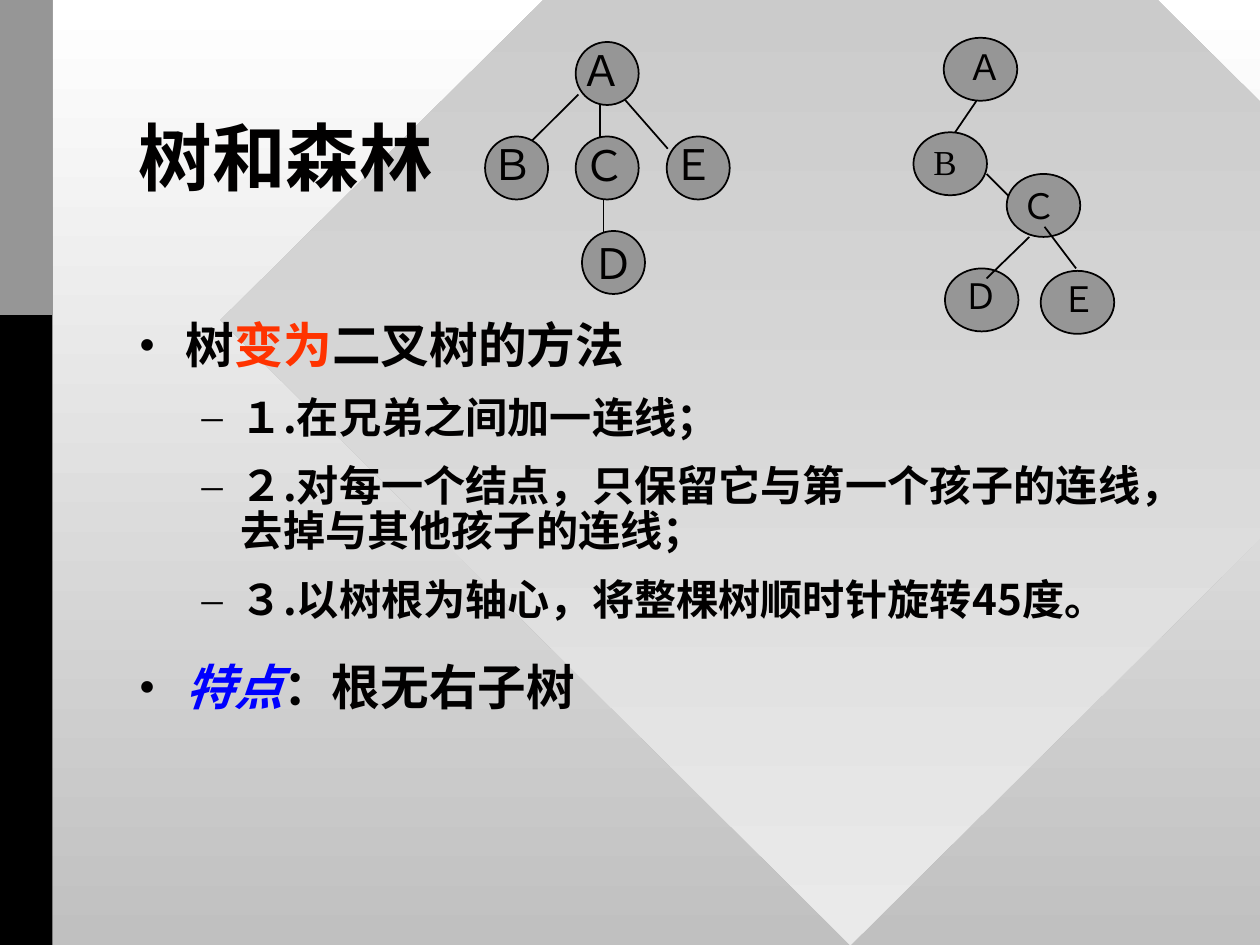
from dataclasses import dataclass

from lxml import etree
from pptx import Presentation
from pptx.dml.color import RGBColor
from pptx.enum.shapes import MSO_CONNECTOR, MSO_SHAPE
from pptx.enum.text import MSO_ANCHOR, MSO_AUTO_SIZE, PP_ALIGN
from pptx.oxml.ns import qn
from pptx.util import Pt

STRAIGHT = MSO_CONNECTOR.STRAIGHT
DIAMOND, RECTANGLE, OVAL = MSO_SHAPE.DIAMOND, MSO_SHAPE.RECTANGLE, MSO_SHAPE.OVAL
MIDDLE, TOP = MSO_ANCHOR.MIDDLE, MSO_ANCHOR.TOP
LEFT, CENTER = PP_ALIGN.LEFT, PP_ALIGN.CENTER
NO_FIT = MSO_AUTO_SIZE.NONE


@dataclass(frozen=True)
class Theme:
    ink: str = "010000"
    black: str = "000000"
    grey: str = "969696"
    red: str = "FF3300"
    blue: str = "0000FF"
    backdrop: tuple = ("FFFFFF", "C0C0C0")
    diamond: tuple = ("C0C0C0", "EAEAEA")
    title_size: float = 42
    level_sizes: tuple = (27.8, 24.1)
    title_font: str = "Karla"
    body_font: str = "Noto Sans CJK SC"
    node_font: str = "Times New Roman"


theme = Theme()


def style_run(span, size, color, latin, bold=False):
    """Format a run, with the body font for its Chinese and full-width letters."""
    span.font.size = Pt(size)
    span.font.bold = bold
    span.font.color.rgb = RGBColor.from_string(color)
    span.font.name = latin
    east_asian = etree.Element(qn("a:ea"), typeface=theme.body_font)
    span.font._element.find(qn("a:latin")).addnext(east_asian)


def fill_downward(fill, colors):
    fill.gradient()
    fill.gradient_angle = 270
    for stop, color in zip(fill.gradient_stops, colors):
        stop.color.rgb = RGBColor.from_string(color)


deck = Presentation()
deck.slide_width, deck.slide_height = Pt(720), Pt(540)
page = deck.slides.add_slide(deck.slide_layouts[1])

# Backdrop
fill_downward(page.background.fill, theme.backdrop)
for kind, left, top, width, height, color in [
    (DIAMOND, 126, -174, 720, 714, theme.diamond),
    (RECTANGLE, 0, 0, 30, 540, theme.black),
    (RECTANGLE, 0, 0, 30, 180, theme.grey),
]:
    shape = page.shapes.add_shape(kind, Pt(left), Pt(top), Pt(width), Pt(height))
    shape.shadow.inherit = False
    shape.line.fill.background()
    if kind == DIAMOND:
        fill_downward(shape.fill, color)
    else:
        shape.fill.solid()
        shape.fill.fore_color.rgb = RGBColor.from_string(color)

# Title and list, brought in front of the backdrop
title, body = page.shapes.title, page.placeholders[1]
for box, top, width, height, anchor in [
    (title, 48, 576, 90, MIDDLE),
    (body, 180, 594, 288, TOP),
]:
    box.left, box.top, box.width, box.height = Pt(72), Pt(top), Pt(width), Pt(height)
    box.text_frame.auto_size = NO_FIT
    box.text_frame.vertical_anchor = anchor
    page.shapes.element.append(box.element)

title.text_frame.text = "树和森林"
para = title.text_frame.paragraphs[0]
para.alignment = LEFT
para.line_spacing = 0.85
style_run(para.runs[0], theme.title_size, theme.ink, theme.title_font, bold=True)

# Per level: left margin, hanging indent, space before, bullet
levels = [(27, -27, 22.5, "•"), (58.5, -22.5, 13, "–")]
items = [
    (0, [("树", theme.ink), ("变为", theme.red), ("二叉树的方法", theme.ink)]),
    (1, [("１.在兄弟之间加一连线；", theme.ink)]),
    (1, [("２.对每一个结点，只保留它与第一个孩子的连线，去掉与其他孩子的连线；", theme.ink)]),
    (1, [("３.以树根为轴心，将整棵树顺时针旋转45度。", theme.ink)]),
    (0, [("特点", theme.blue), ("：根无右子树", theme.ink)]),
]
for index, (level, pieces) in enumerate(items):
    para = body.text_frame.paragraphs[0] if index == 0 else body.text_frame.add_paragraph()
    margin, indent, space, bullet = levels[level]
    para.level = level
    para.alignment = LEFT
    para.line_spacing = 0.9
    para.space_before = Pt(space if index else 0)
    properties = para._p.get_or_add_pPr()
    properties.set("marL", str(Pt(margin)))
    properties.set("indent", str(Pt(indent)))
    bullet_color = etree.SubElement(properties, qn("a:buClr"))
    etree.SubElement(bullet_color, qn("a:srgbClr"), val=theme.ink)
    etree.SubElement(properties, qn("a:buFont"), typeface=theme.node_font)
    etree.SubElement(properties, qn("a:buChar"), char=bullet)
    for words, color in pieces:
        span = para.add_run()
        span.text = words
        style_run(span, theme.level_sizes[level], color, theme.body_font, bold=True)
        span.font.italic = color == theme.blue

# Nodes: letter, left, top, label offset (None centres the letter in the node)
# Edges: from x, from y, to x, to y
general_tree = {
    "node_width": 36,
    "label_height": 65,
    "letter_size": 24,
    "back_edges": [
        (344.9, 113.8, 344.9, 144),
        (330.5, 54, 300.2, 84.2),
        (342.7, 54.7, 342.7, 85),
        (355.7, 55.4, 381.6, 85),
    ],
    "nodes": [
        ("Ｄ", 332.6, 132, None),
        ("Ａ", 329, 24, (-4.3, -2.2)),
        ("Ｂ", 277.2, 78, (-3.6, -2.2)),
        ("Ｅ", 381, 78, (-3.6, -2.2)),
        ("Ｃ", 329, 78, (-2.9, -1.7)),
    ],
    "front_edges": [],
}
binary_tree = {
    "node_width": 42,
    "label_height": 32,
    "letter_size": 20,
    "back_edges": [(563.8, 99.4, 581.8, 117.4)],
    "nodes": [
        ("Ｄ", 540, 153.4, (3.6, 0)),
        ("Ｃ", 575.3, 99.4, (1.4, 2.2)),
        ("Ｅ", 594.7, 154.8, (5, 0)),
        ("B", 522, 75.6, (4.3, 1.4)),
        ("Ａ", 539.3, 21.6, (6.5, 0.7)),
    ],
    "front_edges": [
        (596.9, 129.6, 614.9, 153.4),
        (588.2, 135.4, 563.8, 159.1),
        (558, 57.6, 545.8, 75.6),
    ],
}

for tree in (general_tree, binary_tree):
    group = page.shapes.add_group_shape()
    width = tree["node_width"]
    parts = [*tree["back_edges"], *tree["nodes"], *tree["front_edges"]]
    for part in parts:
        if part not in tree["nodes"]:
            edge = group.shapes.add_connector(STRAIGHT, *map(Pt, part))
            etree.SubElement(edge._element.spPr, qn("a:effectLst"))
            edge.line.color.rgb = RGBColor.from_string(theme.ink)
            edge.line.width = Pt(1)
            continue
        letter, left, top, offset = part
        node = group.shapes.add_shape(OVAL, Pt(left), Pt(top), Pt(width), Pt(36))
        node.shadow.inherit = False
        node.fill.solid()
        node.fill.fore_color.rgb = RGBColor.from_string(theme.grey)
        node.line.color.rgb = RGBColor.from_string(theme.ink)
        node.line.width = Pt(1)
        label = node
        if offset:
            label = group.shapes.add_textbox(
                Pt(left + offset[0]), Pt(top + offset[1]), Pt(width), Pt(tree["label_height"])
            )
        label.text_frame.word_wrap = offset is not None
        label.text_frame.text = letter
        para = label.text_frame.paragraphs[0]
        para.alignment = LEFT if offset else CENTER
        style_run(para.runs[0], tree["letter_size"], theme.ink, theme.node_font)

deck.save("out.pptx")
